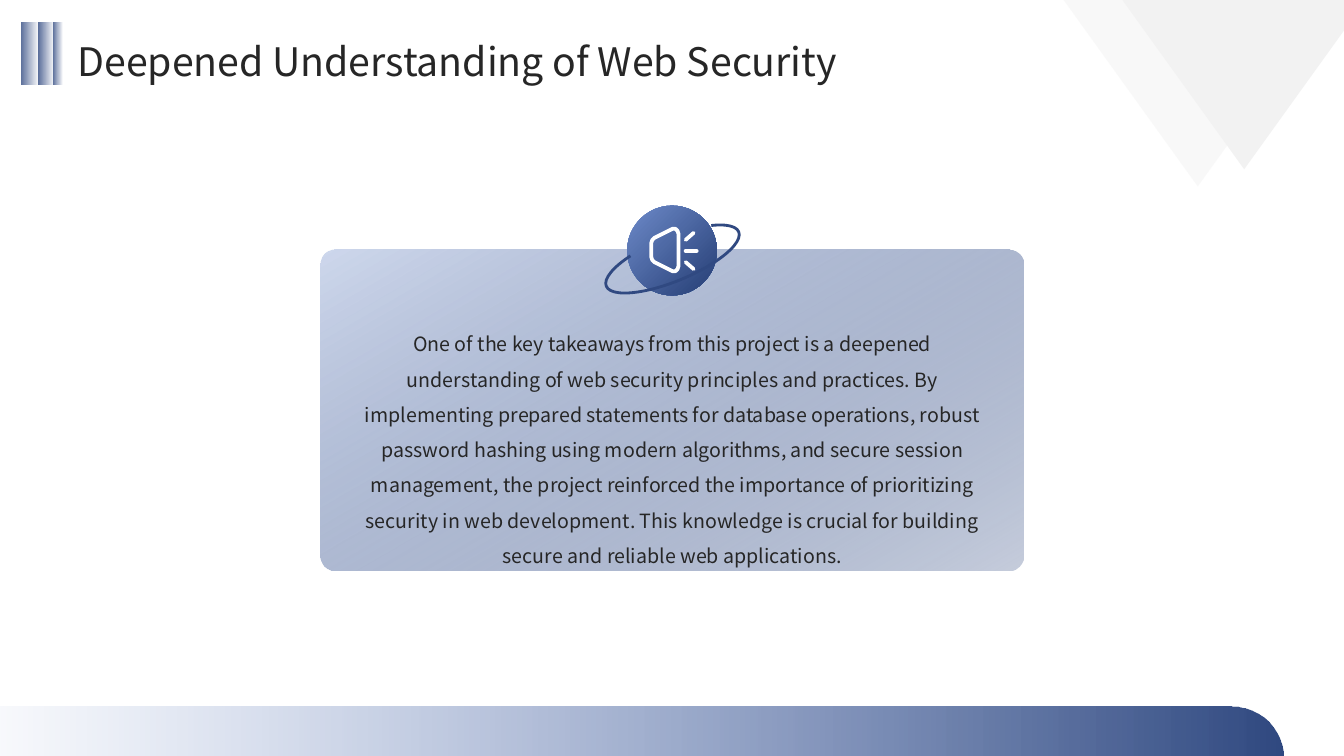
from dataclasses import dataclass

from lxml.etree import SubElement
from pptx import Presentation
from pptx.dml.color import RGBColor
from pptx.enum.shapes import MSO_CONNECTOR, MSO_SHAPE as Preset
from pptx.enum.text import MSO_ANCHOR as Anchor, PP_ALIGN as Align
from pptx.oxml.ns import qn
from pptx.util import Inches, Pt

NAVY = RGBColor(0x30, 0x49, 0x81)
BLUE = RGBColor(0x6D, 0x8A, 0xC9)
PALE = RGBColor(0xCE, 0xD8, 0xED)
GREY = RGBColor(0xF2, 0xF2, 0xF2)
INK = RGBColor(0x26, 0x26, 0x26)
WHITE = RGBColor(0xFF, 0xFF, 0xFF)
FONT = "Noto Sans CJK SC"
ICON_STROKE = Pt(2.7)
ICON_MIDDLE = 2.48

TITLE = "Deepened Understanding of Web Security"
TAKEAWAY = (
    "One of the key takeaways from this project is a deepened understanding of web "
    "security principles and practices. By implementing prepared statements for database "
    "operations, robust password hashing using modern algorithms, and secure session "
    "management, the project reinforced the importance of prioritizing security in web "
    "development. This knowledge is crucial for building secure and reliable web "
    "applications."
)


@dataclass(frozen=True)
class Box:
    left: float
    top: float
    width: float
    height: float

    def lengths(self) -> list:
        return [Inches(v) for v in (self.left, self.top, self.width, self.height)]


@dataclass(frozen=True)
class Stop:
    position: int
    color: RGBColor
    alpha: int = 100


@dataclass(frozen=True)
class Gradient:
    angle: int
    stops: tuple


@dataclass(frozen=True)
class Ray:
    x1: float
    y1: float
    x2: float
    y2: float


CARD_FADE = Gradient(240, (Stop(0, NAVY, 28), Stop(100, PALE)))
BADGE_FADE = Gradient(45, (Stop(0, BLUE), Stop(85, NAVY)))
FOOTER_FADE = Gradient(0, (Stop(0, BLUE, 0), Stop(100, NAVY)))
BAR_FADE = Gradient(0, (Stop(0, NAVY, 0), Stop(100, NAVY, 80)))

TRIANGLES = ((Box(10.01, -0.75, 3.74, 2.6), 50), (Box(10.47, -0.92, 3.74, 2.6), 100))
BARS = (Box(0.21, 0.22, 0.17, 0.62), Box(0.38, 0.22, 0.15, 0.62), Box(0.53, 0.22, 0.09, 0.62))
RAYS = (
    Ray(6.8, ICON_MIDDLE - 0.1, 6.88, ICON_MIDDLE - 0.17),
    Ray(6.8, ICON_MIDDLE + 0.01, 6.91, ICON_MIDDLE + 0.01),
    Ray(6.8, ICON_MIDDLE + 0.12, 6.88, ICON_MIDDLE + 0.19),
)
HORN_HALF = ((6.46, 0.07), (6.47, 0.1), (6.49, 0.12), (6.65, 0.2),
             (6.67, 0.21), (6.7, 0.21), (6.72, 0.19), (6.73, 0.16))


def set_alpha(color_element, percent: int) -> None:
    if percent < 100:
        SubElement(color_element, qn("a:alpha"), val=str(percent * 1000))


def add_plain(shapes, preset: Preset, box: Box):
    shape = shapes.add_shape(preset, *box.lengths())
    shape.shadow.inherit = False
    shape.line.fill.background()
    return shape


def add_faded(shapes, preset: Preset, box: Box, fade: Gradient):
    shape = add_plain(shapes, preset, box)
    properties = shape._element.spPr
    fill = SubElement(properties, qn("a:gradFill"), rotWithShape="1")
    stops = SubElement(fill, qn("a:gsLst"))
    for stop in fade.stops:
        mark = SubElement(stops, qn("a:gs"), pos=str(stop.position * 1000))
        set_alpha(SubElement(mark, qn("a:srgbClr"), val=str(stop.color)), stop.alpha)
    SubElement(fill, qn("a:lin"), ang=str(fade.angle * 60000), scaled="0")
    properties.find(qn("a:prstGeom")).addnext(fill)
    return shape


def add_words(shapes, box: Box, words: str, size: int, spacing: float,
              align: Align, anchor: Anchor) -> None:
    frame = shapes.add_textbox(*box.lengths()).text_frame
    frame.word_wrap = True
    frame.vertical_anchor = anchor
    paragraph = frame.paragraphs[0]
    paragraph.alignment = align
    paragraph.line_spacing = spacing
    run = paragraph.add_run()
    run.text = words
    run.font.size = Pt(size)
    run.font.name = FONT
    run.font.color.rgb = INK


def round_stroke(line) -> None:
    line.color.rgb = WHITE
    line.width = ICON_STROKE
    stroke = line._get_or_add_ln()
    stroke.set("cap", "rnd")
    SubElement(stroke, qn("a:round"))


def add_triangle(shapes, box: Box, alpha: int) -> None:
    triangle = add_plain(shapes, Preset.ISOSCELES_TRIANGLE, box)
    triangle._element.spPr.find(qn("a:xfrm")).set("flipV", "1")
    triangle.fill.solid()
    triangle.fill.fore_color.rgb = GREY
    set_alpha(triangle._element.spPr.find(qn("a:solidFill"))[0], alpha)


def add_orbit(shapes) -> None:
    orbit = add_plain(shapes, Preset.ARC, Box(5.96, 2.35, 1.42, 0.44))
    orbit.adjustments[0] = 204.87
    orbit.adjustments[1] = 123.94
    orbit.rotation = 337.7
    orbit.fill.background()
    orbit.line.color.rgb = NAVY
    orbit.line.width = Pt(2)


def add_horn_icon(shapes) -> None:
    upper = [(Inches(x), Inches(ICON_MIDDLE - rise)) for x, rise in HORN_HALF]
    lower = [(Inches(x), Inches(ICON_MIDDLE + rise)) for x, rise in reversed(HORN_HALF)]
    builder = shapes.build_freeform(*upper[0], scale=1.0)
    builder.add_line_segments(upper[1:] + lower, close=True)
    horn = builder.convert_to_shape()
    horn.shadow.inherit = False
    horn.fill.background()
    round_stroke(horn.line)
    for ray in RAYS:
        beam = shapes.add_connector(MSO_CONNECTOR.STRAIGHT, Inches(ray.x1), Inches(ray.y1),
                                    Inches(ray.x2), Inches(ray.y2))
        round_stroke(beam.line)
        SubElement(beam._element.spPr, qn("a:effectLst"))


def main() -> None:
    deck = Presentation()
    deck.slide_width, deck.slide_height = Inches(13.33), Inches(7.5)
    shapes = deck.slides.add_slide(deck.slide_layouts[6]).shapes

    for box, alpha in TRIANGLES:
        add_triangle(shapes, box, alpha)

    card = add_faded(shapes, Preset.ROUNDED_RECTANGLE, Box(3.18, 2.48, 6.97, 3.18), CARD_FADE)
    card.adjustments[0] = 0.045
    add_words(shapes, Box(3.38, 3.13, 6.58, 2.3), TAKEAWAY, 14, 1.5, Align.CENTER, Anchor.TOP)

    add_faded(shapes, Preset.OVAL, Box(6.22, 2.04, 0.89, 0.89), BADGE_FADE)
    add_orbit(shapes)
    add_horn_icon(shapes)

    footer = add_faded(shapes, Preset.ROUNDED_RECTANGLE, Box(-0.69, 7.01, 13.42, 1.03), FOOTER_FADE)
    footer.adjustments[0] = 0.5
    add_words(shapes, Box(0.67, 0.25, 11.88, 0.56), TITLE, 28, 1.3, Align.LEFT, Anchor.MIDDLE)

    for box in BARS:
        bar = add_faded(shapes, Preset.RECTANGLE, box, BAR_FADE)
        bar._element.spPr.find(qn("a:xfrm")).set("flipH", "1")

    deck.save("out.pptx")


if __name__ == "__main__":
    main()
